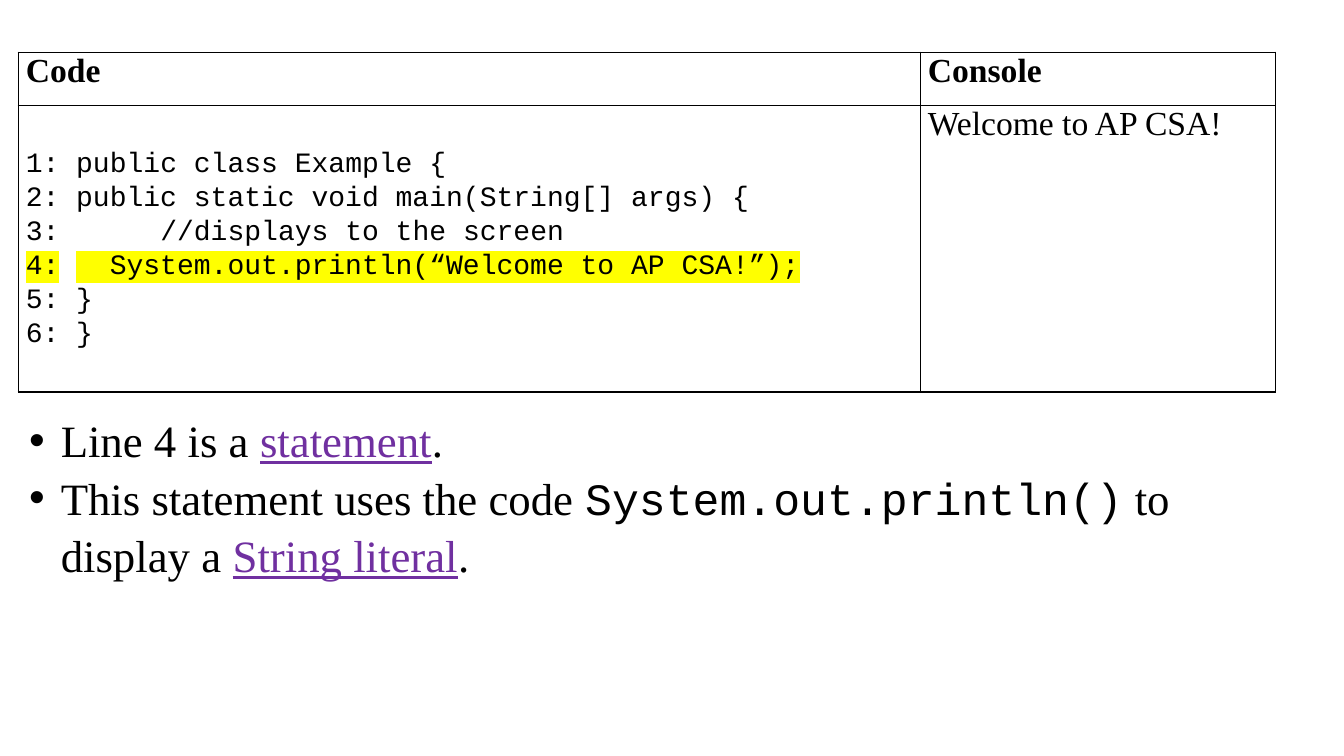
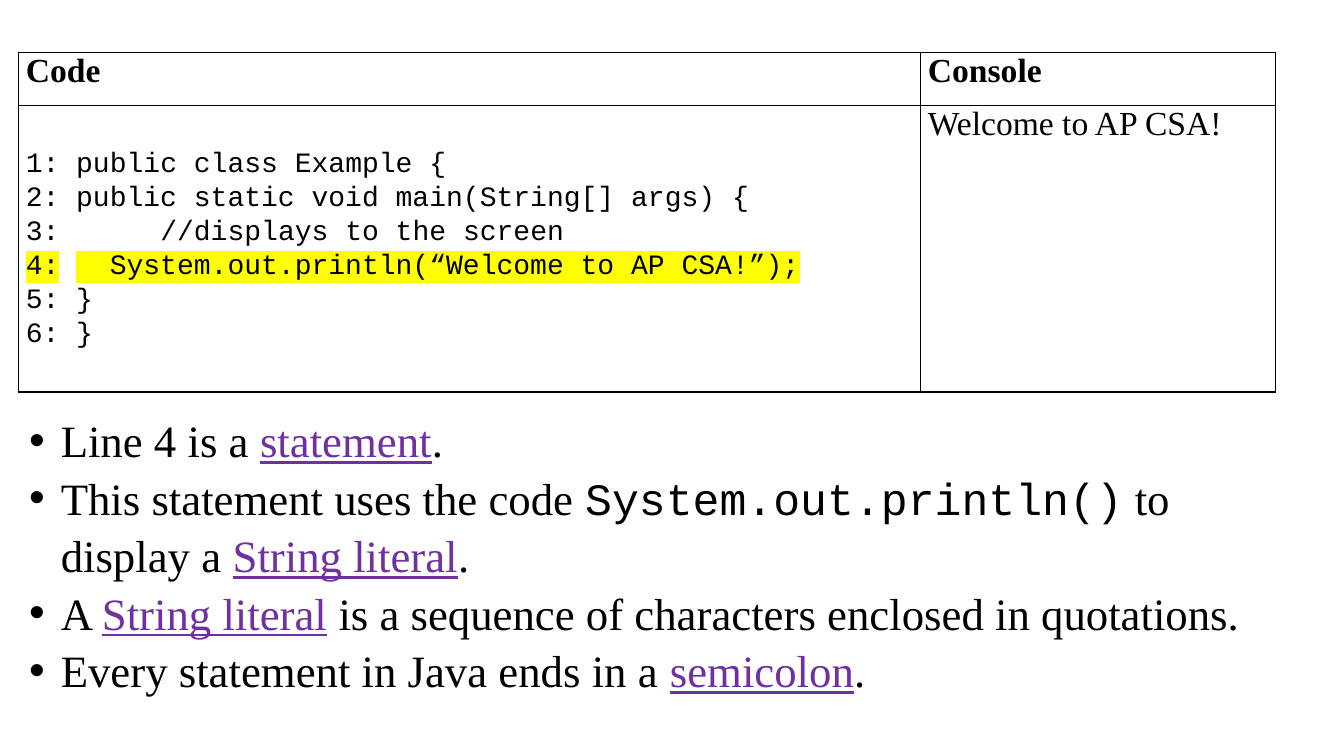
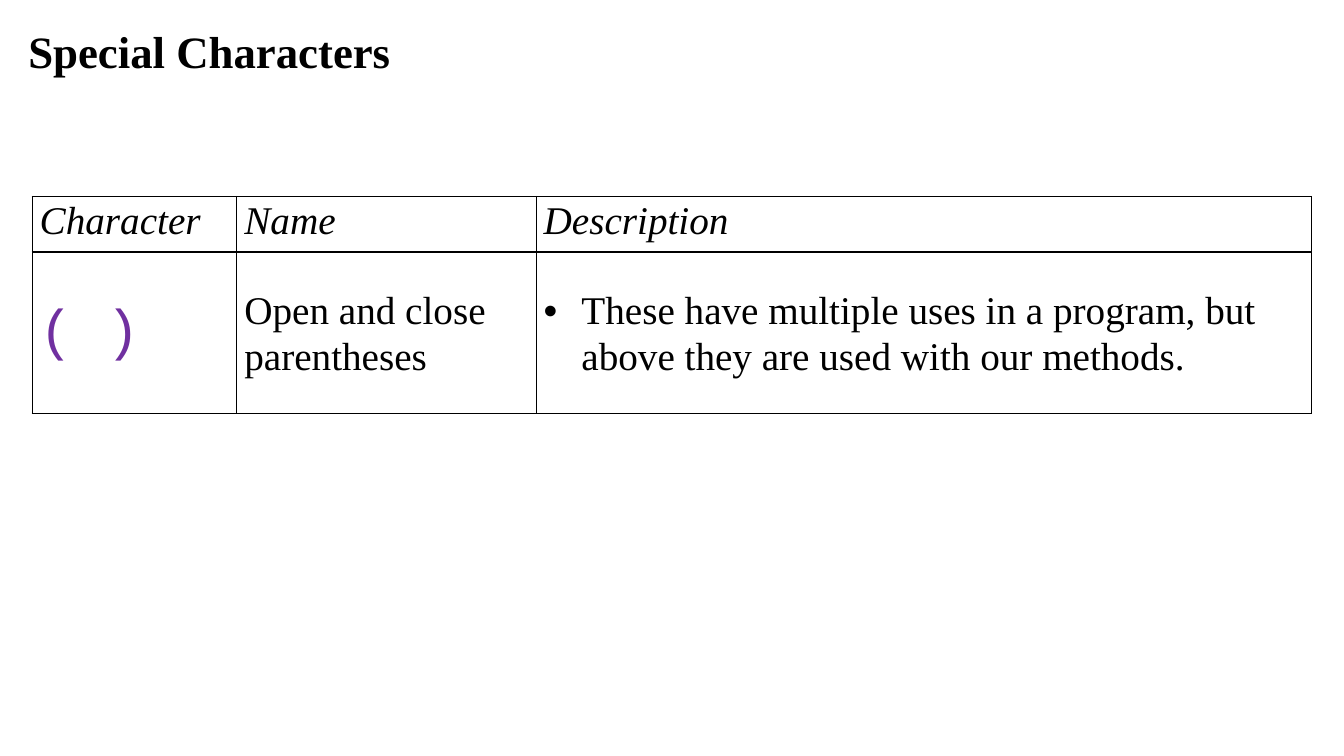
from dataclasses import dataclass

from lxml.etree import SubElement
from pptx import Presentation
from pptx.dml.color import RGBColor
from pptx.enum.text import MSO_ANCHOR, MSO_AUTO_SIZE, PP_ALIGN
from pptx.oxml.ns import qn
from pptx.util import Pt


@dataclass(frozen=True)
class Theme:
    ink: str = "000000"
    accent: str = "7030A0"
    marker: str = "FFFF00"
    serif: str = "Times New Roman"
    mono: str = "Courier New"
    code: int = 20
    table: int = 24
    large_table: int = 28
    main: int = 32
    symbol: int = 40
    spacing: float = 1.07
    border: int = 1
    cell_inset: float = 5.4


T = Theme()

# Content: a paragraph is a string or a list of (text, format) runs
TERM = dict(color=T.accent, underline=True)
MONO = dict(font=T.mono)

CODE = [
    "1: public class Example {",
    "2:\tpublic static void main(String[] args) {",
    "3:      //displays to the screen",
    [("4:\t  System.out.println(“Welcome to AP CSA!”);", dict(highlight=T.marker))],
    "5:\t}",
    "6: }",
]
POINTS = [
    [("Line 4 is a ", {}), ("statement", TERM), (".", {})],
    [("This statement uses the code ", {}), ("System.out.println()", MONO),
     (" to display a ", {}), ("String literal", TERM), (".", {})],
    [("A ", {}), ("String literal", TERM),
     (" is a sequence of characters enclosed in quotations.", {})],
    [("Every statement in Java ends in a ", {}), ("semicolon", TERM), (".", {})],
]
POINT_STEPS = [(2, 129), (4, 214)]  # points shown, height of their box

# Table cells: (paragraphs, format)
HEAD = dict(size=T.table, bold=True)
CODE_TABLE = [
    [(["Code"], HEAD), (["Console"], HEAD)],
    [(CODE, dict(size=T.code, font=T.mono, spacing=T.spacing, anchor=MSO_ANCHOR.MIDDLE)),
     (["Welcome to AP CSA!"], dict(size=T.table))],
]

LARGE = dict(size=T.large_table, spacing=T.spacing)
MIDDLE = dict(LARGE, anchor=MSO_ANCHOR.MIDDLE)
CHARACTER_TABLE = [
    [([name], dict(LARGE, italic=True)) for name in ("Character", "Name", "Description")],
    [(["( )"], dict(MIDDLE, size=T.symbol, font=T.mono, color=T.accent)),
     (["Open and close parentheses"], MIDDLE),
     (["These have multiple uses in a program, but above they are used with our methods."],
      dict(MIDDLE, bullet=27))],
]


def format_run(r, size, font=T.serif, color=T.ink, bold=False, italic=False,
               underline=False, highlight=None):
    f = r.font
    f.size, f.name, f.bold, f.italic, f.underline = Pt(size), font, bold, italic, underline
    f.color.rgb = RGBColor.from_string(color)
    if highlight:
        rPr = r._r.get_or_add_rPr()
        mark = SubElement(rPr, qn("a:highlight"))
        SubElement(mark, qn("a:srgbClr"), val=highlight)
        rPr.find(qn("a:solidFill")).addnext(mark)


def write(tf, paragraphs, spacing=1.0, bullet=0, **fmt):
    """Fill a text frame; bullet is the hanging indent in points."""
    for i, runs in enumerate(paragraphs):
        p = tf.add_paragraph() if i else tf.paragraphs[0]
        if bullet:
            pPr = p._p.get_or_add_pPr()
            pPr.set("marL", str(Pt(bullet)))
            pPr.set("indent", str(-Pt(bullet)))
            SubElement(pPr, qn("a:buFont"), typeface="Arial")
            SubElement(pPr, qn("a:buChar"), char="•")
        p.alignment = PP_ALIGN.LEFT
        p.line_spacing = spacing
        p.space_before = Pt(0)
        for text, change in [(runs, {})] if isinstance(runs, str) else runs:
            r = p.add_run()
            r.text = text
            format_run(r, **{**fmt, **change})


def fill_placeholder(sp, box, paragraphs, **fmt):
    sp.left, sp.top, sp.width, sp.height = map(Pt, box)
    tf = sp.text_frame
    tf.word_wrap = True
    tf.auto_size = MSO_AUTO_SIZE.NONE
    tf.vertical_anchor = MSO_ANCHOR.TOP
    write(tf, paragraphs, size=T.main, **fmt)


def add_borders(cell):
    tcPr = cell._tc.get_or_add_tcPr()
    for side in ("lnL", "lnR", "lnT", "lnB"):
        ln = SubElement(tcPr, qn(f"a:{side}"), w=str(Pt(T.border)))
        SubElement(SubElement(ln, qn("a:solidFill")), qn("a:srgbClr"), val=T.ink)


def add_grid(s, left, top, widths, heights, rows):
    table = s.shapes.add_table(len(heights), len(widths), Pt(left), Pt(top),
                               Pt(sum(widths)), Pt(sum(heights))).table
    table.first_row = table.horz_banding = False
    for column, width in zip(table.columns, widths):
        column.width = Pt(width)
    for row, height, contents in zip(table.rows, heights, rows):
        row.height = Pt(height)
        for cell, (paragraphs, fmt) in zip(row.cells, contents):
            fmt = dict(fmt)
            cell.vertical_anchor = fmt.pop("anchor", MSO_ANCHOR.TOP)
            cell.margin_left = cell.margin_right = Pt(T.cell_inset)
            cell.margin_top = cell.margin_bottom = Pt(0)
            add_borders(cell)
            cell.fill.background()
            write(cell.text_frame, paragraphs, **fmt)


def main():
    prs = Presentation()
    prs.slide_width, prs.slide_height = Pt(960), Pt(540)
    content_layout, title_layout = prs.slide_layouts[1], prs.slide_layouts[5]

    # Code and console, with a growing list of points
    for count, height in POINT_STEPS:
        s = prs.slides.add_slide(content_layout)
        title = s.shapes.title._element
        title.getparent().remove(title)
        add_grid(s, 13, 37.4, (644.4, 253.4), (38.2, 204.5), CODE_TABLE)
        fill_placeholder(s.placeholders[1], (13.7, 288.7, 897, height), POINTS[:count],
                         spacing=T.spacing, bullet=22.5)

    # Special characters
    s = prs.slides.add_slide(title_layout)
    fill_placeholder(s.shapes.title, (13, 13, 913.7, 46), ["Special Characters"], bold=True)
    add_grid(s, 23, 140.4, (146.2, 213.8, 553.7), (39.6, 115.2), CHARACTER_TABLE)

    prs.save("out.pptx")


if __name__ == "__main__":
    main()
